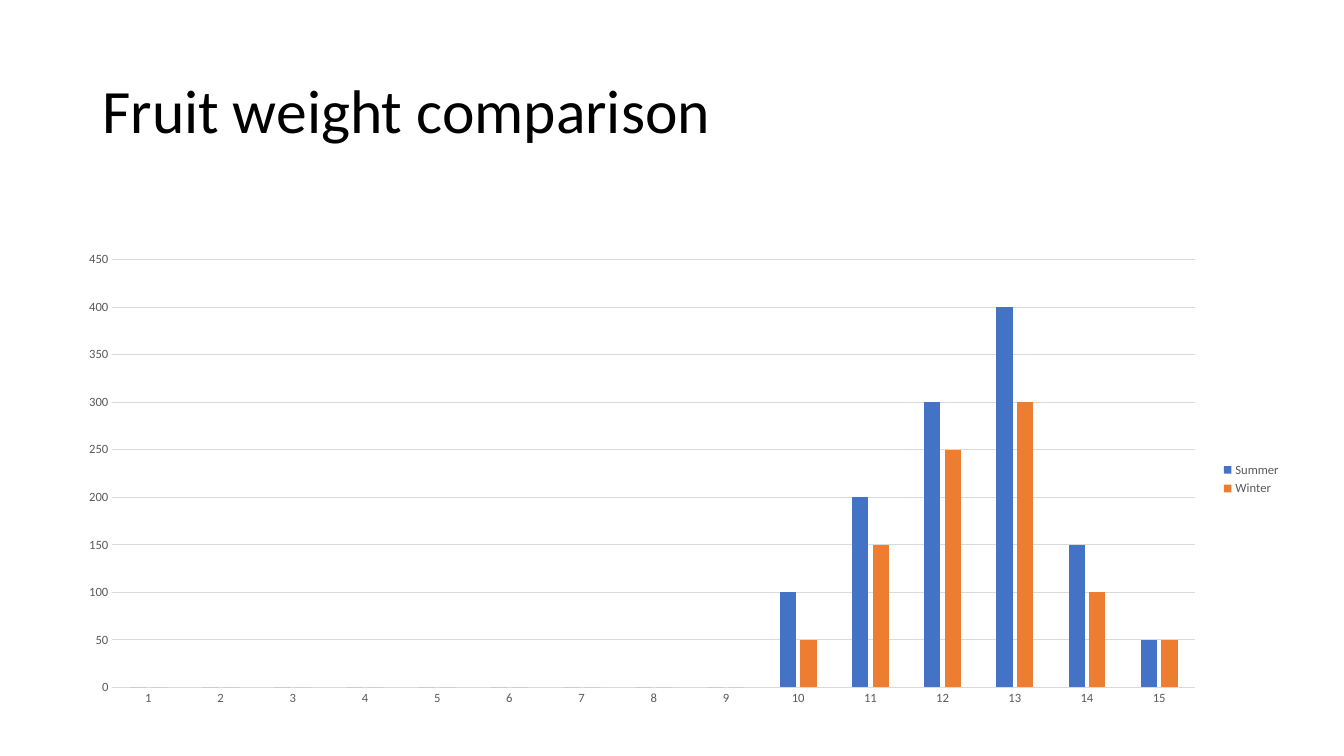
from pptx import Presentation
from pptx.chart.data import CategoryChartData
from pptx.dml.color import RGBColor
from pptx.enum.chart import XL_CHART_TYPE, XL_LEGEND_POSITION, XL_TICK_MARK
from pptx.enum.text import MSO_ANCHOR
from pptx.util import Cm, Pt

BLACK = RGBColor(0x00, 0x00, 0x00)
GRAY = RGBColor(0x59, 0x59, 0x59)
LIGHT_GRAY = RGBColor(0xD9, 0xD9, 0xD9)
BLUE = RGBColor(0x44, 0x72, 0xC4)
ORANGE = RGBColor(0xED, 0x7D, 0x31)
FONT = "Calibri"

EMPTY_MONTHS = [0] * 9
WEIGHTS = {
    "Summer": (EMPTY_MONTHS + [100, 200, 300, 400, 150, 50], BLUE),
    "Winter": (EMPTY_MONTHS + [50, 150, 250, 300, 100, 50], ORANGE),
}


def style_font(font, size, color):
    font.name = FONT
    font.size = Pt(size)
    font.color.rgb = color


def style_line(line):
    line.color.rgb = LIGHT_GRAY
    line.width = Pt(0.75)


def add_title(page, left, top, width, height):
    frame = page.shapes.add_textbox(left, top, width, height).text_frame
    frame.word_wrap = True
    frame.vertical_anchor = MSO_ANCHOR.MIDDLE
    paragraph = frame.paragraphs[0]
    paragraph.text = "Fruit weight comparison"
    paragraph.line_spacing = 0.9
    style_font(paragraph.font, 44, BLACK)


def add_weight_chart(page, left, top, width, height):
    data = CategoryChartData()
    data.categories = [str(number) for number in range(1, 16)]
    for name, (values, _) in WEIGHTS.items():
        data.add_series(name, values)
    chart = page.shapes.add_chart(
        XL_CHART_TYPE.COLUMN_CLUSTERED, left, top, width, height, data
    ).chart
    chart.has_title = False
    style_font(chart.font, 10, BLACK)

    chart.has_legend = True
    chart.legend.position = XL_LEGEND_POSITION.RIGHT
    chart.legend.include_in_layout = False
    style_font(chart.legend.font, 9, GRAY)

    for axis in (chart.category_axis, chart.value_axis):
        axis.major_tick_mark = XL_TICK_MARK.NONE
        axis.minor_tick_mark = XL_TICK_MARK.NONE
        style_font(axis.tick_labels.font, 9, GRAY)
    style_line(chart.category_axis.format.line)
    chart.value_axis.format.line.fill.background()
    style_line(chart.value_axis.major_gridlines.format.line)
    chart.value_axis.minimum_scale = 0
    chart.value_axis.maximum_scale = 450
    chart.value_axis.major_unit = 50

    plot = chart.plots[0]
    plot.gap_width = 219
    plot.overlap = -27
    plot.vary_by_categories = False
    for series, (_, color) in zip(plot.series, WEIGHTS.values()):
        series.invert_if_negative = False
        series.format.fill.solid()
        series.format.fill.fore_color.rgb = color


def main():
    deck = Presentation()
    deck.slide_width = Cm(33.87)
    deck.slide_height = Cm(19.05)
    page = deck.slides.add_slide(deck.slide_layouts[6])
    add_title(page, Cm(2.33), Cm(1.01), Cm(29.21), Cm(3.68))
    add_weight_chart(page, Cm(1.63), Cm(6.12), Cm(30.91), Cm(11.91))
    deck.save("out.pptx")


if __name__ == "__main__":
    main()
